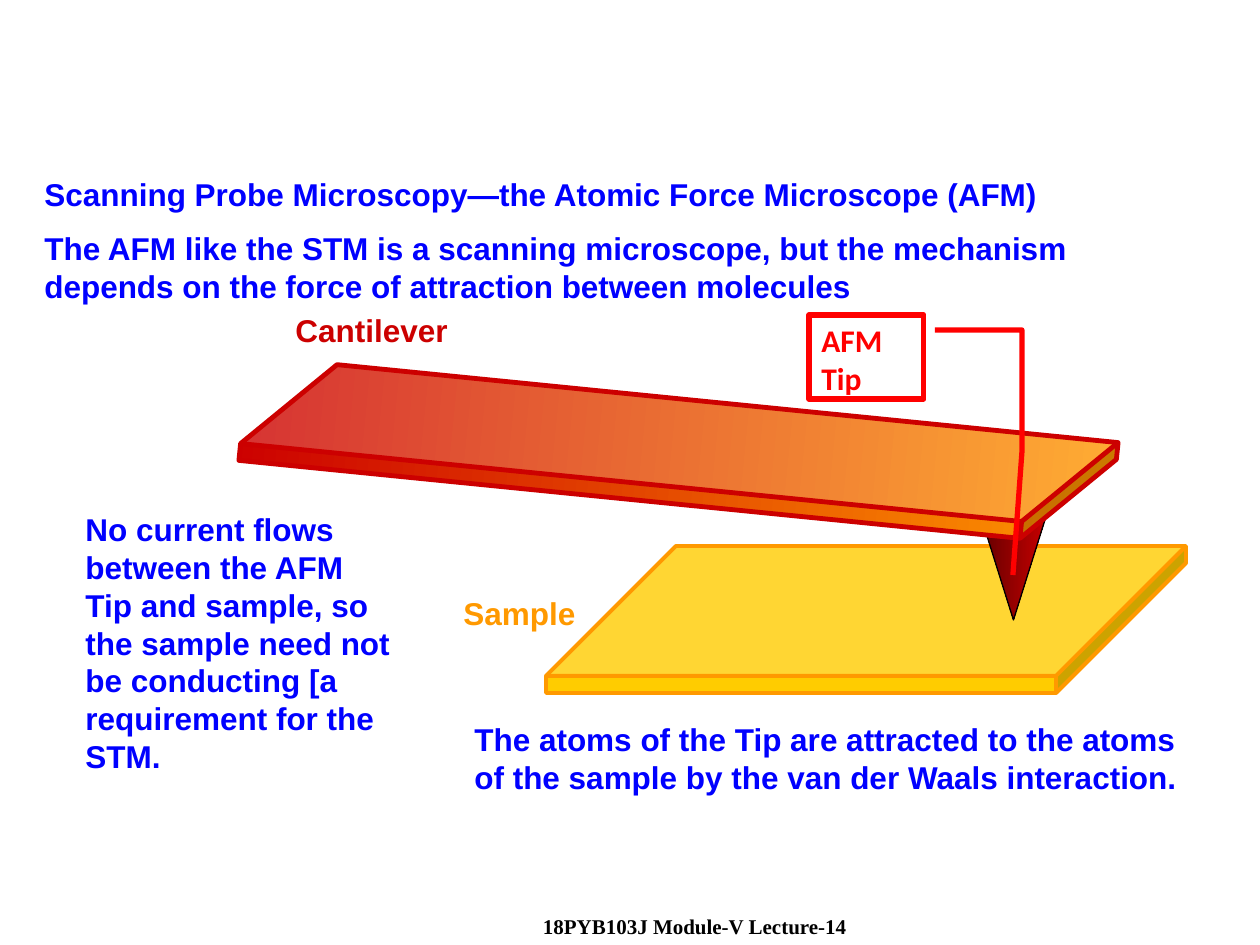
"""Build the slide on the atomic force microscope and its cantilever."""
import pptx
import pptx.dml.color
import pptx.enum.shapes
import pptx.enum.text
import pptx.oxml.ns
import pptx.util

SCALE = 914400 / 126
SHAPE = pptx.enum.shapes.MSO_SHAPE
COLORS = {
    "blue": "0000FF", "orange": "FF9900", "gold": "FFCC00", "crimson": "CC0000",
    "maroon": "5E0000", "red": "FF0000", "black": "000000",
}


def px(n):
    return round(n * SCALE)


def rgb(name):
    return pptx.dml.color.RGBColor.from_string(COLORS[name])


def write(sp, paragraphs, color, font="Arial", size=18):
    tf = sp.text_frame
    tf.word_wrap = True
    tf.vertical_anchor = pptx.enum.text.MSO_ANCHOR.TOP
    tf.text = "\n".join(paragraphs)
    for i, p in enumerate(tf.paragraphs):
        p.alignment = pptx.enum.text.PP_ALIGN.LEFT
        if i:
            p.space_before = pptx.util.Pt(9)
        p.font.name = font
        p.font.size = pptx.util.Pt(size)
        p.font.bold = True
        p.font.color.rgb = rgb(color)
    return tf


def add_text(slide, box, paragraphs, color, **style):
    sp = slide.shapes.add_textbox(*map(px, box))
    tf = write(sp, paragraphs, color, **style)
    tf.auto_size = pptx.enum.text.MSO_AUTO_SIZE.SHAPE_TO_FIT_TEXT
    return tf


def outline(sp, color, width):
    sp.shadow.inherit = False
    sp.line.color.rgb = rgb(color)
    sp.line.width = pptx.util.Pt(width)


def add_solid(slide, kind, box, fills, line, width, adj, rotation=0):
    sp = slide.shapes.add_shape(kind, *map(px, box))
    outline(sp, line, width)
    sp.adjustments[0] = adj
    sp.rotation = rotation
    if len(fills) == 1:
        sp.fill.solid()
        sp.fill.fore_color.rgb = rgb(fills[0])
    else:
        sp.fill.gradient()
        sp.fill.gradient_angle = 0
        for stop, name in zip(sp.fill.gradient_stops, fills):
            stop.color.rgb = rgb(name)
    return sp


def flip_horizontal(sp):
    sp._element.spPr.find(pptx.oxml.ns.qn("a:xfrm")).set("flipH", "1")


def add_callout(slide, box, text, points):
    label = slide.shapes.add_shape(SHAPE.RECTANGLE, *map(px, box))
    write(label, [text], "red", font="Calibri")
    builder = slide.shapes.build_freeform(*points[0], scale=SCALE)
    builder.add_line_segments(points[1:], close=False)
    for sp in (label, builder.convert_to_shape()):
        sp.fill.background()
        outline(sp, "red", 3)


def main():
    prs = pptx.Presentation()
    prs.slide_width, prs.slide_height = px(1260), px(945)
    slide = prs.slides.add_slide(prs.slide_layouts[6])

    add_text(slide, (32, 169, 1155, 146), [
        "Scanning Probe Microscopy—the Atomic Force Microscope (AFM)",
        "The AFM like the STM is a scanning microscope, but the mechanism "
        "depends on the force of attraction between molecules",
    ], "blue")

    add_solid(slide, SHAPE.CUBE, (546, 546, 640, 147), ["gold"], "orange", 2.25, 0.884)
    tip = add_solid(slide, SHAPE.ISOSCELES_TRIANGLE, (977, 504, 73, 116),
                    ["maroon", "crimson"], "black", 0.75, 0.5, rotation=180)
    flip_horizontal(tip)
    add_solid(slide, SHAPE.CUBE, (242, 399, 873, 105), ["crimson", "orange"],
              "crimson", 2.75, 0.839, rotation=5.7)

    add_text(slide, (451, 588, 273, 50), ["Sample"], "orange")
    add_text(slide, (283, 305, 273, 50), ["Cantilever"], "crimson")
    add_callout(slide, (809, 315, 115, 84), "AFM Tip",
                [(935, 330), (1022, 330), (1022, 452), (1013, 575)])
    add_text(slide, (73, 504, 336, 277), [
        "No current flows between the AFM Tip and sample, so the sample "
        "need not be conducting [a requirement for the STM."], "blue")
    add_text(slide, (462, 714, 735, 88), [
        "The atoms of the Tip are attracted to the atoms of the sample "
        "by the van der Waals interaction."], "blue")
    footer = add_text(slide, (420, 907, 504, 38), ["18PYB103J Module-V Lecture-14"],
                      "black", font="Times New Roman", size=12)
    footer.margin_left = px(123)

    prs.save("out.pptx")


if __name__ == "__main__":
    main()
